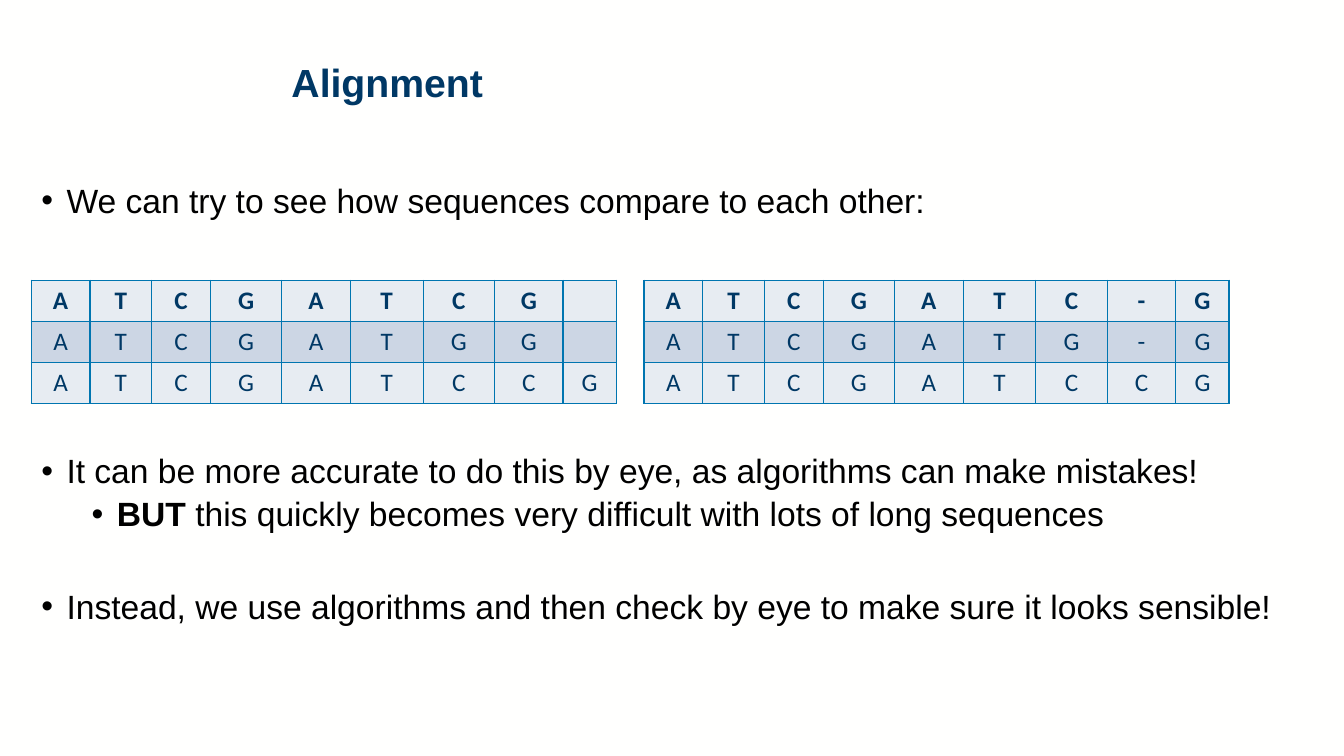
from lxml import etree
from pptx import Presentation, util as u
from pptx.dml.color import RGBColor
from pptx.enum import text
from pptx.oxml import ns

NAVY = RGBColor(0x00, 0x38, 0x65)
BLUE = RGBColor(0x00, 0x75, 0xB0)
PALE = RGBColor(0xE7, 0xEC, 0xF2)
BAND = RGBColor(0xCC, 0xD6, 0xE4)
BLACK = RGBColor(0, 0, 0)
PAPER = RGBColor(0xFF, 0xFF, 0xFE)

LEFT = 22.3
COLUMN_WIDTHS = (42, 44, 42, 51, 49, 52, 51, 49, 38)
ROW_HEIGHT = 29.3


class SlideBuilder:
    text_font = "Arial"
    table_font = "Calibri"

    def __init__(self, page):
        self.page = page
        page.background.fill.solid()
        page.background.fill.fore_color.rgb = PAPER

    def add_span(self, para, words, size, color, bold=False, font=text_font):
        span = para.add_run()
        span.text = words
        span.font.name = font
        span.font.size = u.Pt(size)
        span.font.bold = bold
        span.font.color.rgb = color

    def place(self, box, left, top, width, height):
        box.left, box.top = u.Pt(left), u.Pt(top)
        box.width, box.height = u.Pt(width), u.Pt(height)
        frame = box.text_frame
        frame.word_wrap = True
        frame.auto_size = text.MSO_AUTO_SIZE.NONE
        frame.vertical_anchor = text.MSO_ANCHOR.TOP
        return frame

    def title(self, words, *bounds):
        para = self.place(self.page.shapes.title, *bounds).paragraphs[0]
        para.alignment = text.PP_ALIGN.LEFT
        para.line_spacing = 0.9
        self.add_span(para, words, 28, NAVY, bold=True)

    def bullets(self, index, items, *bounds):
        """Each item is (level, space before, [(words, bold), ...])."""
        frame = self.place(self.page.placeholders[index], *bounds)
        for number, (level, space, spans) in enumerate(items):
            para = frame.add_paragraph() if number else frame.paragraphs[0]
            para.level = level
            para.line_spacing = 0.9
            para.space_before = u.Pt(space)
            props = para._p.get_or_add_pPr()
            props.set("marL", str(u.Pt(18 + 36 * level)))
            props.set("indent", str(u.Pt(-18)))
            etree.SubElement(props, ns.qn("a:buFont"), typeface=self.text_font)
            etree.SubElement(props, ns.qn("a:buChar"), char="•")
            for words, bold in spans:
                self.add_span(para, words, 24, BLACK, bold)

    def border(self, cell):
        props = cell._tc.get_or_add_tcPr()
        for position, side in enumerate(("lnL", "lnR", "lnT", "lnB")):
            line = etree.Element(ns.qn("a:" + side), w=str(u.Pt(1)))
            fill = etree.SubElement(line, ns.qn("a:solidFill"))
            etree.SubElement(fill, ns.qn("a:srgbClr"), val=str(BLUE))
            props.insert(position, line)

    def sequence_table(self, sequences, left, top):
        frame = self.page.shapes.add_table(
            len(sequences), len(COLUMN_WIDTHS), u.Pt(left), u.Pt(top),
            u.Pt(sum(COLUMN_WIDTHS)), u.Pt(ROW_HEIGHT * len(sequences)))
        table = frame.table
        table.first_row = table.horz_banding = False
        for column, width in zip(table.columns, COLUMN_WIDTHS):
            column.width = u.Pt(width)
        for row, sequence in enumerate(sequences):
            table.rows[row].height = u.Pt(ROW_HEIGHT)
            for column in range(len(COLUMN_WIDTHS)):
                cell = table.cell(row, column)
                cell.fill.solid()
                cell.fill.fore_color.rgb = BAND if row % 2 else PALE
                self.border(cell)
                para = cell.text_frame.paragraphs[0]
                para.alignment = text.PP_ALIGN.CENTER
                if column < len(sequence):
                    self.add_span(para, sequence[column], 18, NAVY,
                                  bold=row == 0, font=self.table_font)


def main():
    deck = Presentation()
    deck.slide_width, deck.slide_height = u.Pt(960), u.Pt(540)
    # The two-content layout offers a title and two lists
    builder = SlideBuilder(deck.slides.add_slide(deck.slide_layouts[3]))

    # Heading and opening point
    builder.title("Alignment", 201, 41.8, 725, 72.5)
    builder.bullets(1, [
        (0, 0, [("We can try to see how sequences compare to each other:", False)]),
    ], LEFT, 128, 937.5, 47)

    # Sequences before and after alignment
    builder.sequence_table(("ATCGATCG", "ATCGATGG", "ATCGATCCG"), LEFT, 200.2)
    builder.sequence_table(("ATCGATC-G", "ATCGATG-G", "ATCGATCCG"), 460, 200.2)

    # Conclusions
    builder.bullets(2, [
        (0, 0, [("It can be more accurate to do this by eye, "
                 "as algorithms can make mistakes!", False)]),
        (1, 5, [("BUT", True),
                (" this quickly becomes very difficult with lots of long sequences", False)]),
        (0, 40, [("Instead, we use algorithms and then check by eye "
                  "to make sure it looks sensible!", False)]),
    ], LEFT, 321, 937.5, 165.6)

    deck.save("out.pptx")


if __name__ == "__main__":
    main()
